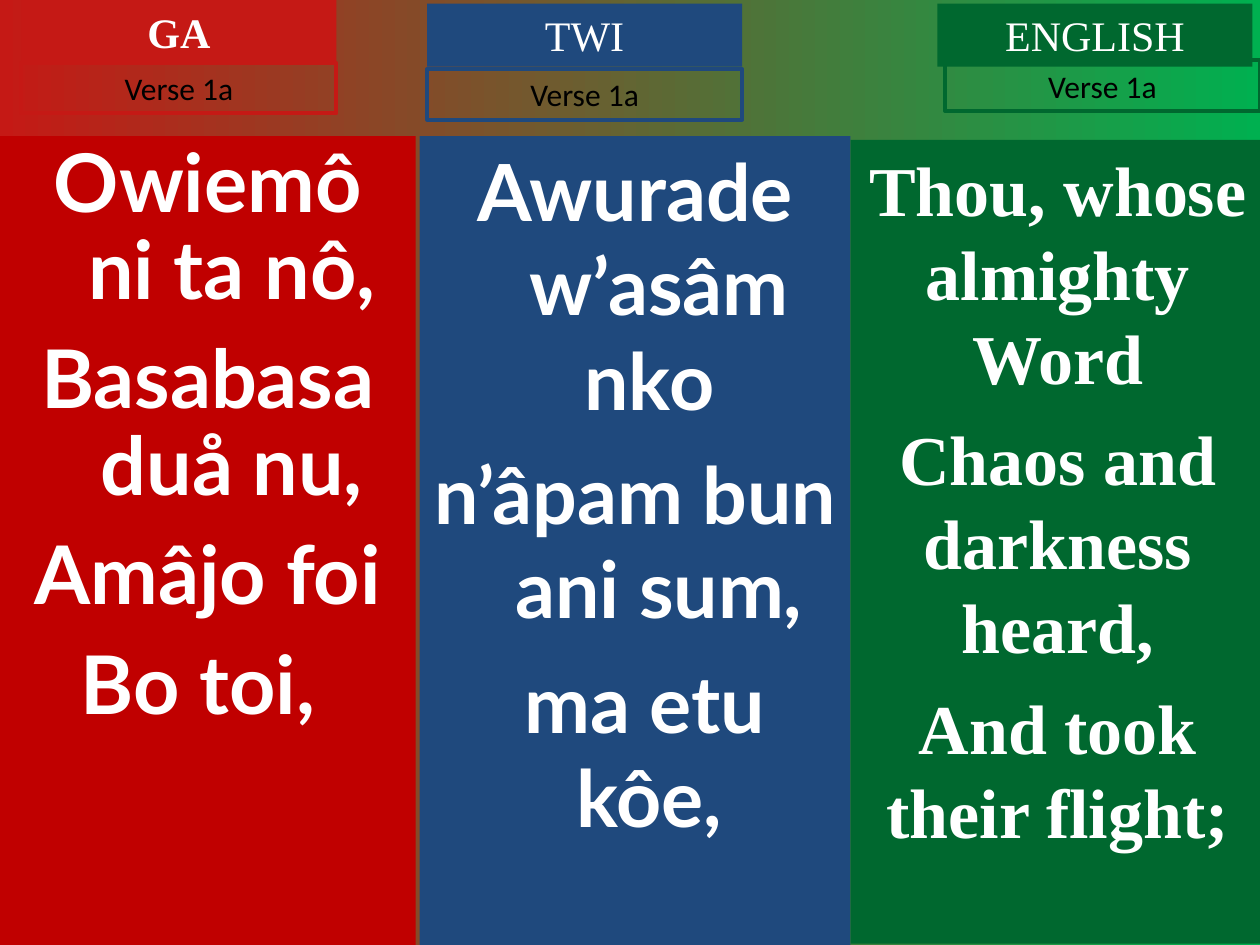
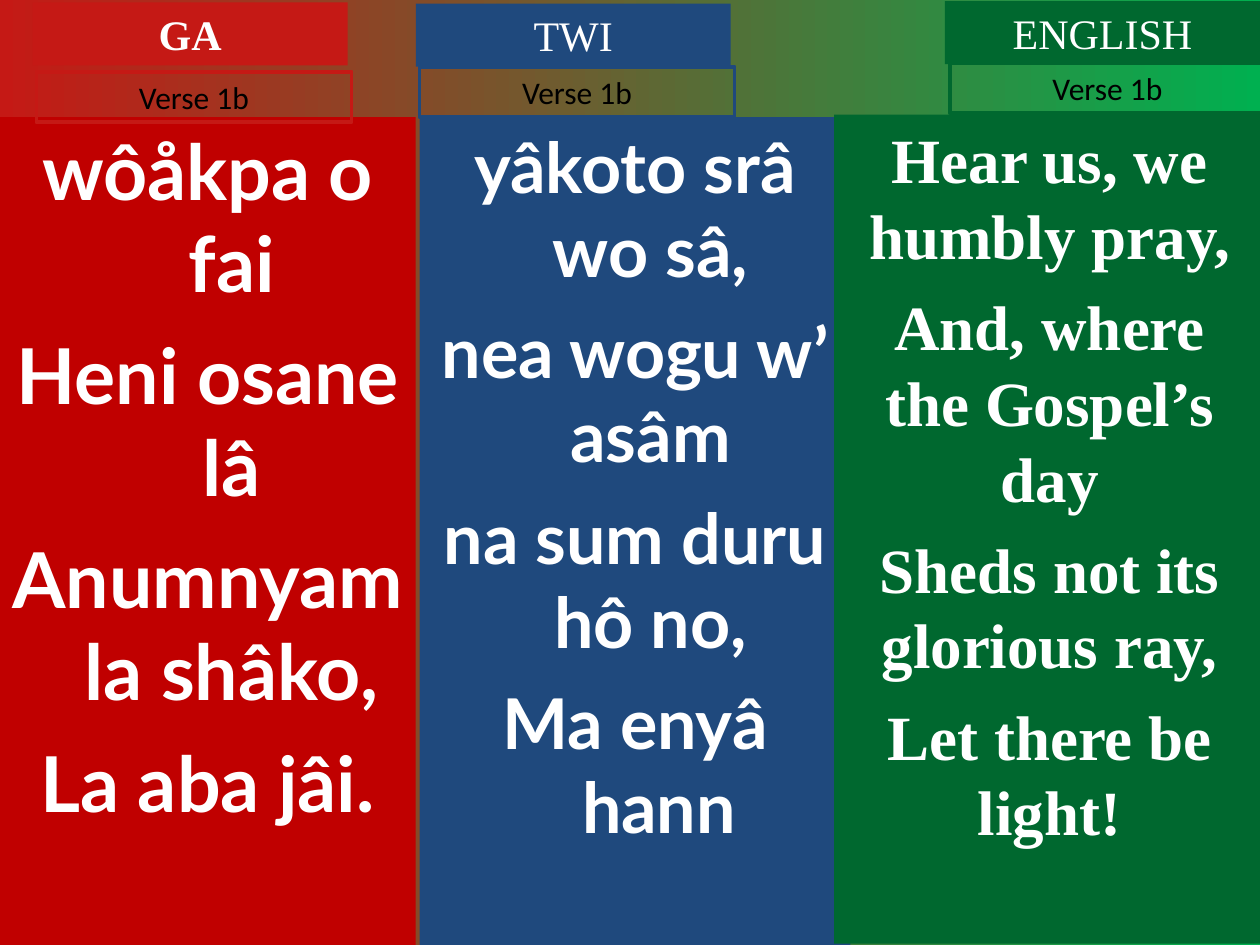
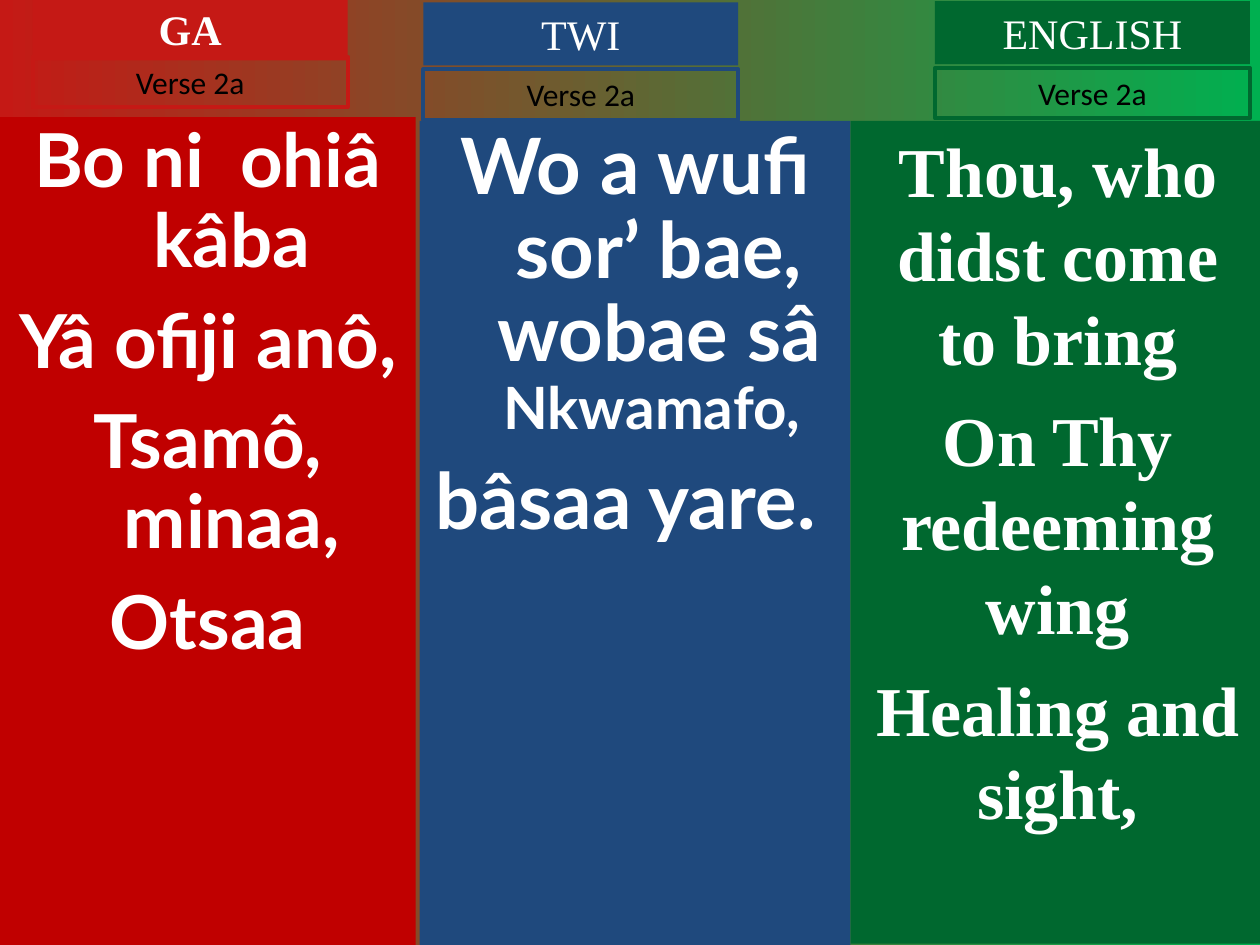
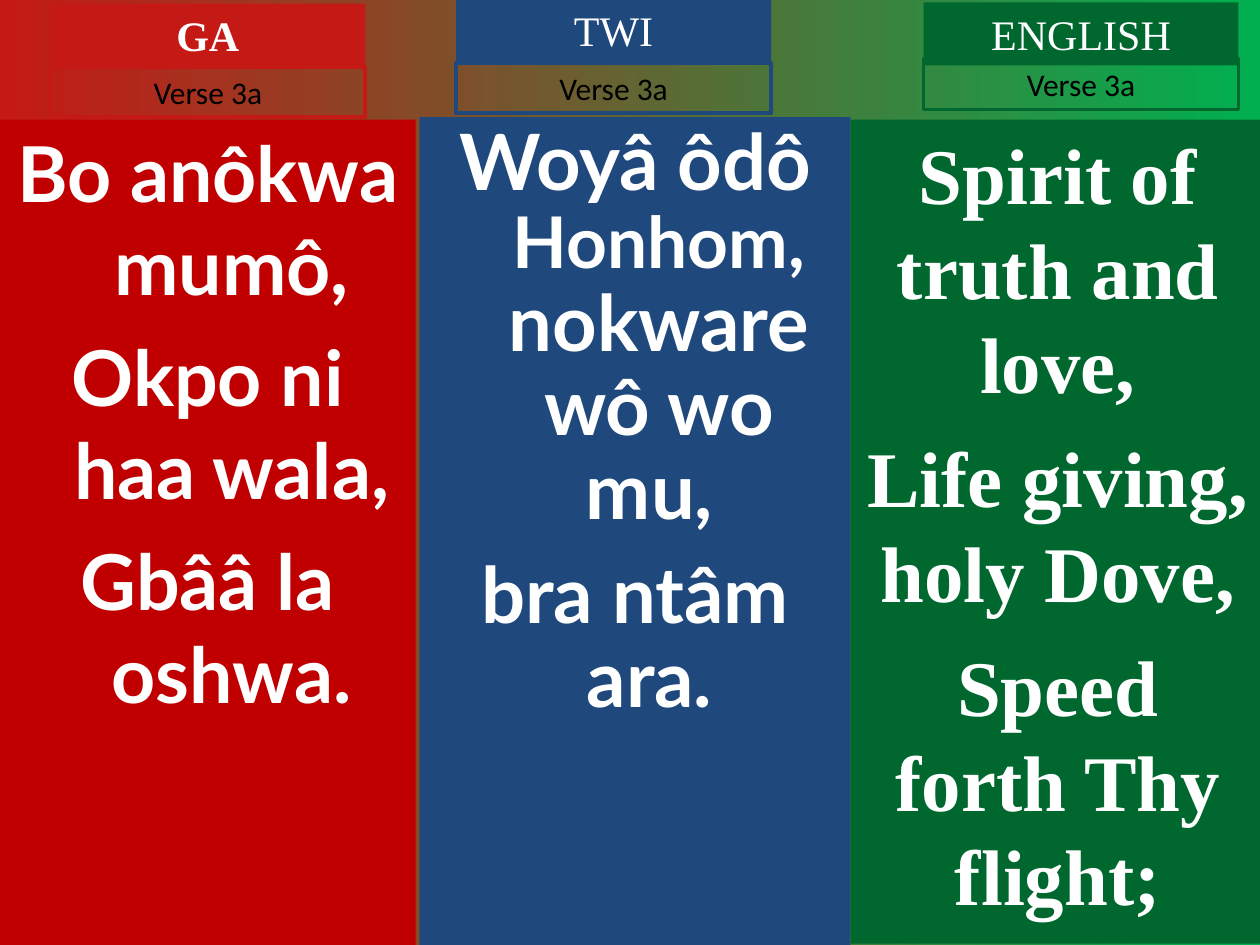
from dataclasses import dataclass

from pptx import Presentation
from pptx.dml.color import RGBColor
from pptx.enum.shapes import MSO_SHAPE
from pptx.enum.text import MSO_ANCHOR, MSO_AUTO_SIZE, PP_ALIGN
from pptx.util import Pt

EMU_PER_PX = 9144  # 100 px to the inch
SLIDE_WIDTH, SLIDE_HEIGHT = 1000, 750
LABEL_WIDTH, HEADER_HEIGHT, VERSE_HEIGHT = 250, 50, 40
HANGING_INDENT = 38


@dataclass(frozen=True)
class Theme:
    background_start: str = "C51915"
    background_end: str = "00B050"
    light: str = "FFFFFF"
    dark: str = "000000"
    header_font: str = "Times New Roman"
    verse_font: str = "Calibri"
    header_size: float = 24
    verse_size: float = 18
    outline: float = 2.25


@dataclass(frozen=True)
class Language:
    title: str
    panel_color: str
    accent: str
    font: str
    left: int
    right: int
    bottom: int
    indent: int = 0
    bold_title: bool = False


@dataclass(frozen=True)
class Column:
    """One language on one slide; header and verse are (left, top)."""
    language: Language
    header: tuple
    verse: tuple
    top: int
    size: float
    lines: tuple
    tight: bool = False
    left: int | None = None


THEME = Theme()
GA = Language("GA", "C00000", "C51915", "Lato", 0, 330, 750,
              HANGING_INDENT, bold_title=True)
TWI = Language("TWI", "1F497D", "1F497D", "Lato", 333, 675, 750, HANGING_INDENT)
ENGLISH = Language("ENGLISH", "00682F", "00682F", "Times New Roman", 675, 1004, 749)

# A line is a string, or a tuple of (text, size) runs.
SLIDES = [
    ("Verse 1a", [
        Column(GA, (17, 0), (17, 50), 108, 46.2,
               ("Owiemô ni ta nô,", "Basabasa duå nu,", "Amâjo foi", "Bo toi, "),
               tight=True),
        Column(TWI, (339, 3), (339, 55), 108, 45,
               ("Awurade w’asâm nko ", "n’âpam bun ani sum,", " ma etu kôe, ")),
        Column(ENGLISH, (744, 3), (750, 48), 111, 40,
               ("Thou, whose almighty Word", "Chaos and darkness heard,",
                "And took their flight;")),
    ]),
    ("Verse 1b", [
        Column(GA, (26, 2), (29, 57), 93, 44,
               ("wôåkpa o fai", "Heni osane lâ", "Anumnyam la shâko,", "La aba jâi.")),
        Column(TWI, (330, 3), (333, 53), 93, 40,
               ("yâkoto srâ wo sâ, ", "nea wogu w’ asâm ", "na sum duru hô no, ",
                "Ma enyâ hann")),
        Column(ENGLISH, (750, 1), (754, 50), 91, 36,
               ("Hear us, we humbly pray,", "And, where the Gospel’s day",
                "Sheds not its glorious ray,", "Let there be light!"), left=662),
    ]),
    ("Verse 2a", [
        Column(GA, (26, -2), (26, 45), 93, 42.5,
               ("Bo ni  ohiâ kâba", "Yâ ofiji anô,", "Tsamô, minaa,", "Otsaa"),
               tight=True),
        Column(TWI, (336, 2), (336, 55), 96, 44.4,
               ((("Wo a wufi sor’ bae, wobae sâ ", 44.4), ("Nkwamafo, ", 33.3)),
                "bâsaa yare. "), tight=True),
        Column(ENGLISH, (742, 1), (742, 54), 96, 40,
               ("Thou, who didst come to bring", "On Thy redeeming wing",
                "Healing and sight,")),
    ]),
    ("Verse 3a", [
        Column(GA, (40, 3), (40, 53), 95, 44,
               ("Bo anôkwa mumô,", "Okpo ni haa wala,", "Gbââ la oshwa.")),
        Column(TWI, (362, -1), (362, 50), 93, 44.4,
               ((("Woyâ ôdô ", 44.4), ("Honhom, ", 40.7), ("nokware wô wo mu, ", 44.4)),
                "bra ntâm ara. "), tight=True),
        Column(ENGLISH, (733, 2), (733, 47), 95, 45,
               ("Spirit of truth and love,", "Life giving, holy Dove,",
                "Speed forth Thy flight;")),
    ]),
]


def px(length):
    return length * EMU_PER_PX


def color(value):
    return RGBColor.from_string(value)


def paint_background(slide):
    fill = slide.background.fill
    fill.gradient()
    fill.gradient_angle = 0
    stops = zip(fill.gradient_stops, (THEME.background_start, THEME.background_end))
    for position, (stop, value) in enumerate(stops):
        stop.position = position
        stop.color.rgb = color(value)


def add_box(slide, left, top, width, height, fill=None, line=None):
    shape = slide.shapes.add_shape(MSO_SHAPE.RECTANGLE, px(left), px(top),
                                   px(width), px(height))
    shape.shadow.inherit = False
    if fill:
        shape.fill.solid()
        shape.fill.fore_color.rgb = color(fill)
    else:
        shape.fill.background()
    if line:
        shape.line.color.rgb = color(line)
        shape.line.width = Pt(THEME.outline)
    else:
        shape.line.fill.background()
    shape.text_frame.word_wrap = True
    shape.text_frame.vertical_anchor = MSO_ANCHOR.TOP
    return shape


def add_run(paragraph, text, size, font_name, value, bold):
    run = paragraph.add_run()
    run.text = text
    run.font.size = Pt(size)
    run.font.name = font_name
    run.font.bold = bold
    run.font.color.rgb = color(value)


def add_label(shape, text, size, font_name, value, bold=False):
    """Write one centred line in a box that grows with its text."""
    shape.text_frame.auto_size = MSO_AUTO_SIZE.SHAPE_TO_FIT_TEXT
    paragraph = shape.text_frame.paragraphs[0]
    paragraph.alignment = PP_ALIGN.CENTER
    add_run(paragraph, text, size, font_name, value, bold)


def add_panel(slide, column):
    language = column.language
    left = language.left if column.left is None else column.left
    shape = add_box(slide, left, column.top, language.right - left,
                    language.bottom - column.top, fill=language.panel_color)
    frame = shape.text_frame
    for index, line in enumerate(column.lines):
        paragraph = frame.add_paragraph() if index else frame.paragraphs[0]
        paragraph.alignment = PP_ALIGN.CENTER
        if column.tight:
            paragraph.line_spacing = 0.9
        if index:
            paragraph.space_before = Pt(column.size * (0.27 if column.tight else 0.25))
        if language.indent:
            properties = paragraph._p.get_or_add_pPr()
            properties.set("marL", str(px(language.indent)))
            properties.set("indent", str(-px(language.indent)))
        runs = ((line, column.size),) if isinstance(line, str) else line
        for text, size in runs:
            add_run(paragraph, text, size, language.font, THEME.light, True)


def add_header(slide, column):
    language = column.language
    shape = add_box(slide, *column.header, LABEL_WIDTH, HEADER_HEIGHT,
                    fill=language.accent)
    add_label(shape, language.title, THEME.header_size, THEME.header_font,
              THEME.light, language.bold_title)


def add_verse(slide, column, verse):
    shape = add_box(slide, *column.verse, LABEL_WIDTH, VERSE_HEIGHT,
                    line=column.language.accent)
    add_label(shape, verse, THEME.verse_size, THEME.verse_font, THEME.dark)


def add_columns(slide, verse, columns):
    """Stack all panels under all headers, and those under all verse labels."""
    for column in columns:
        add_panel(slide, column)
    for column in columns:
        add_header(slide, column)
    for column in columns:
        add_verse(slide, column, verse)


def main():
    presentation = Presentation()
    presentation.slide_width = px(SLIDE_WIDTH)
    presentation.slide_height = px(SLIDE_HEIGHT)
    blank_layout = presentation.slide_layouts[6]
    for verse, (ga, twi, english) in SLIDES:
        slide = presentation.slides.add_slide(blank_layout)
        paint_background(slide)
        add_columns(slide, verse, [ga, twi])
        add_columns(slide, verse, [english])
    presentation.save("out.pptx")


if __name__ == "__main__":
    main()
